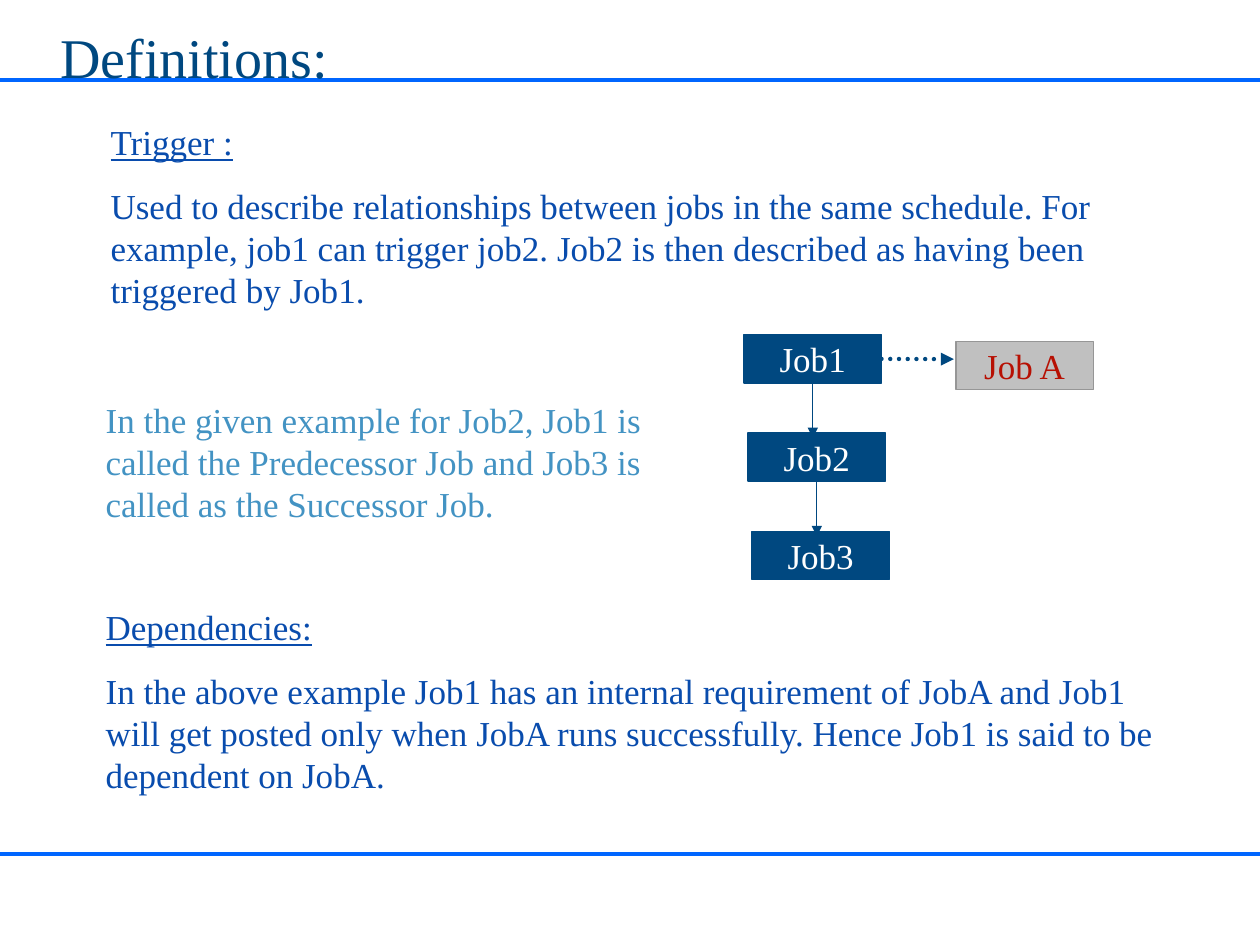
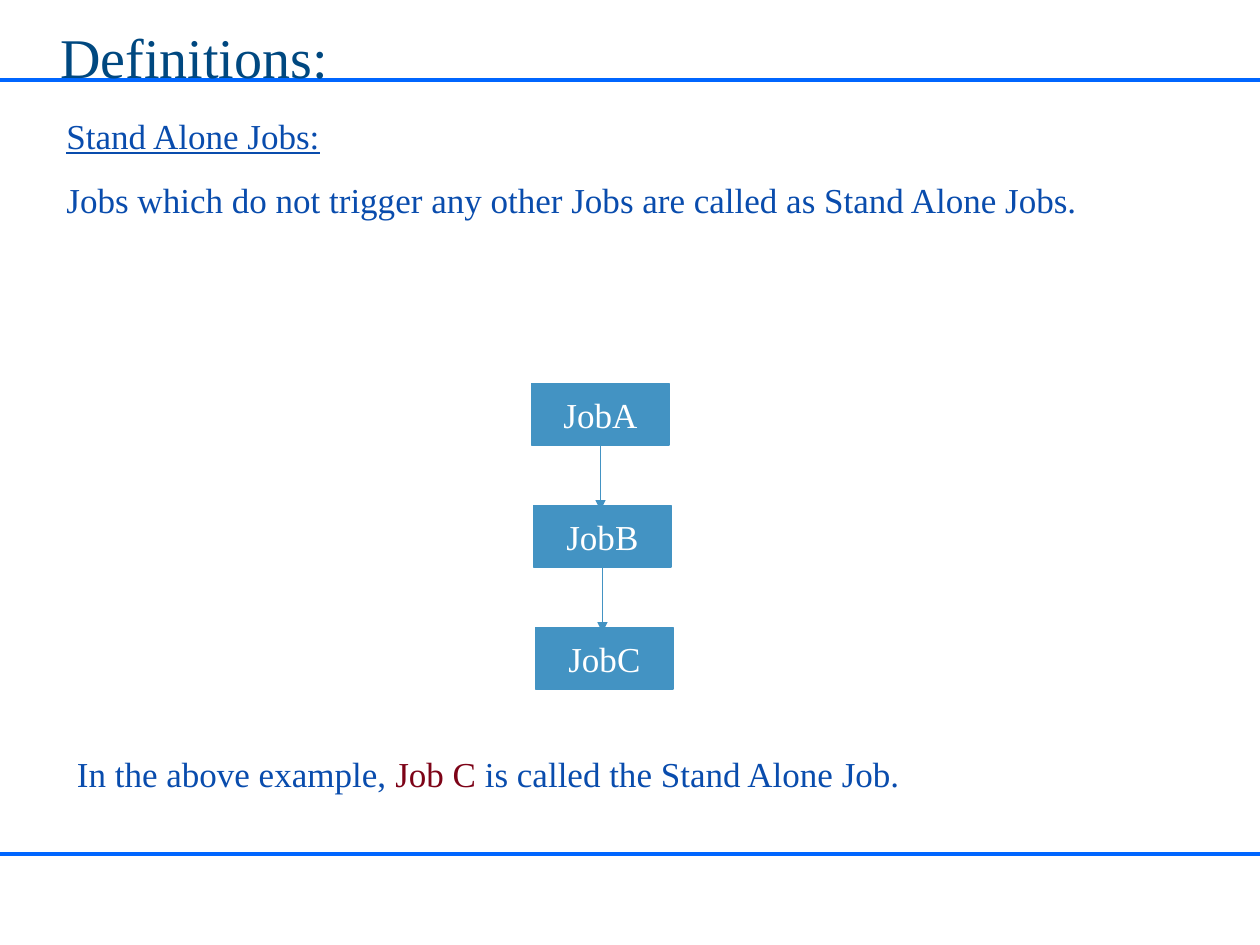
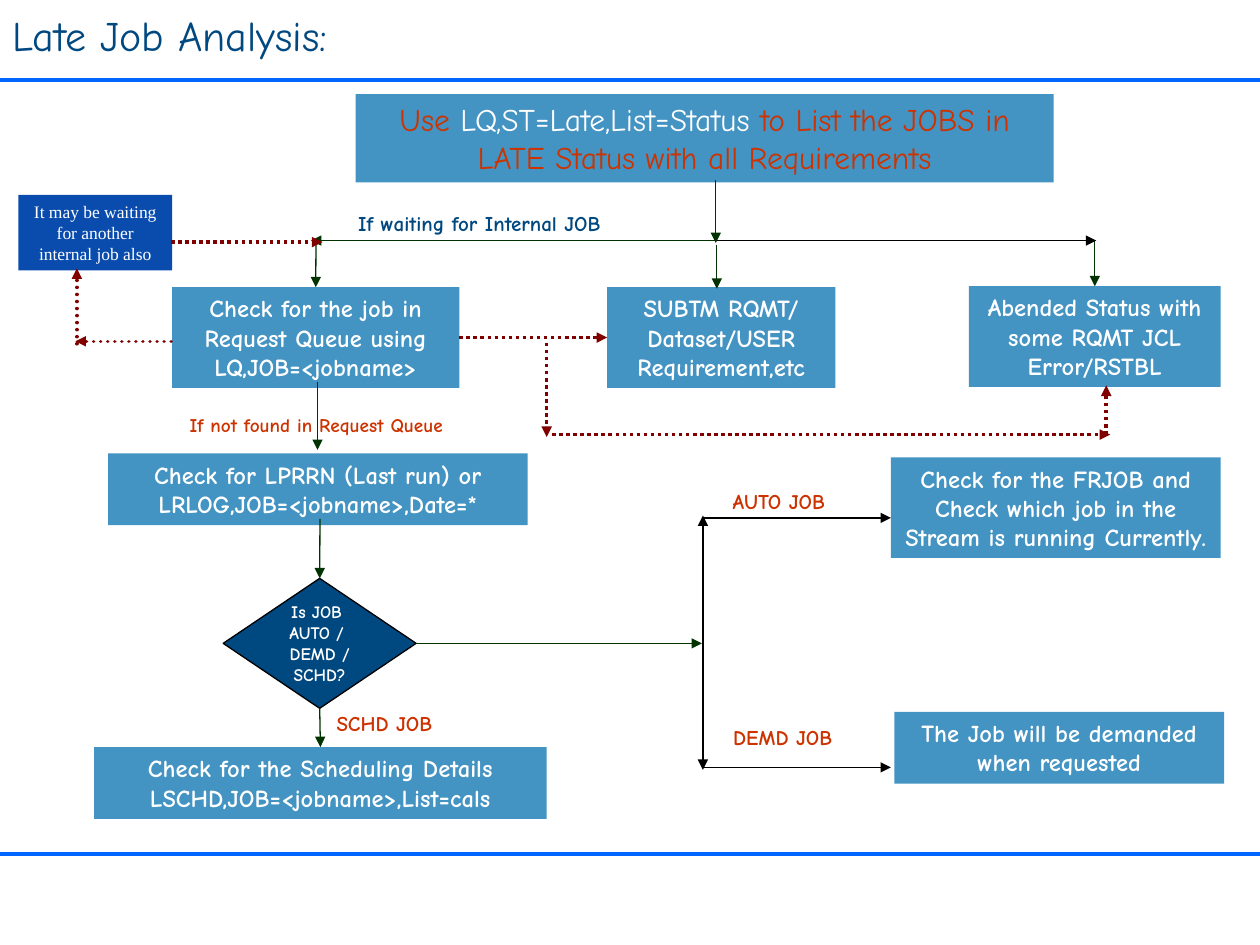
from lxml.etree import SubElement
from pptx import Presentation
from pptx.dml.color import RGBColor
from pptx.enum.shapes import MSO_CONNECTOR as CONNECTOR, MSO_SHAPE as SHAPE
from pptx.enum.text import MSO_ANCHOR as ANCHOR, MSO_AUTO_SIZE as AUTO_SIZE, PP_ALIGN as ALIGN
from pptx.oxml.ns import qn
from pptx.util import Cm, Pt

COLOURS = {
    "band": "0066FF", "navy": "004880", "blue": "094CAD", "sky": "4393C3",
    "grey": "C0C0C0", "grey line": "969696", "white": "FFFFFF", "black": "000000",
    "red": "B71003", "wine": "7D0317", "orange": "CC3300", "green": "003300",
    "maroon": "800000",
}
SERIF, COMIC = "Times New Roman", "Comic Neue"
WIDTH, HEIGHT = 25.4, 19.05
BANDS = (17.22, 1.62)
TOP, LEFT, BOTTOM, RIGHT = range(4)

# Text blocks: place (left, top, width, height in cm), colour, heading, body runs
TRIGGER_BLOCKS = [
    ((1.88, 12.09, 21.89, 4.09), "blue", "Dependencies:",
     "In the above example Job1 has an internal requirement of JobA and Job1 will get "
     "posted only when JobA runs successfully. Hence Job1 is said to be dependent on JobA."),
    ((1.98, 2.31, 22.35, 4.09), "blue", "Trigger :",
     "Used to describe relationships between jobs in the same schedule. For example, job1 "
     "can trigger job2. Job2 is then described as having been triggered by Job1."),
    ((1.88, 7.9, 12.09, 2.79), "sky", None,
     "In the given example for Job2, Job1 is called the Predecessor Job and Job3 is called "
     "as the Successor Job."),
]
STAND_ALONE_BLOCKS = [
    ((1.09, 2.18, 23.19, 2.39), "blue", "Stand Alone Jobs:",
     "Jobs which do not trigger any other Jobs are called as Stand Alone Jobs."),
    ((1.3, 15.04, 23.42, 1.12), "blue", None,
     [("In the above example, ", "blue"), ("Job C", "wine"),
      (" is called the Stand Alone Job.", "blue")]),
]

# Late job flow: name -> place, text
STEPS = {
    "subtm": ((12.24, 5.79, 4.6, 2.03), "SUBTM RQMT/ Dataset/USER Requirement,etc"),
    "abended": ((19.53, 5.77, 5.08, 2.03), "Abended Status with some RQMT JCL Error/RSTBL"),
    "queue": ((3.47, 5.79, 5.79, 2.03),
              "Check for the job in Request Queue using LQ,JOB=<jobname>"),
    "last run": ((2.18, 9.14, 8.46, 1.45),
                 "Check for LPRRN (Last run) or LRLOG,JOB=<jobname>,Date=*"),
    "schedule": ((1.9, 15.06, 9.12, 1.45),
                 "Check for the Scheduling Details LSCHD,JOB=<jobname>,List=cals"),
    "stream": ((17.96, 9.22, 6.65, 2.03),
               "Check for the FRJOB and Check which job in the Stream is running Currently."),
    "demand": ((18.03, 14.35, 6.65, 1.45), "The Job will be demanded when requested"),
}
HEADER = [("Use ", "orange"), ("LQ,ST=Late,List=Status", "white"),
          (" to List the JOBS in LATE Status with all Requirements", "orange")]
DECISION = ["Is JOB ", "AUTO / ", "DEMD /", "SCHD?"]
LABELS = [
    ((6.96, 4.11, 5.41, 0.76), "If waiting for Internal JOB", 12, "navy"),
    ((3.56, 8.2, 5.64, 0.74), "If not found in Request Queue", 11, "orange"),
    ((6.4, 14.2, 2.7, 0.76), "SCHD JOB", 12, "orange"),
    ((14.35, 9.73, 2.7, 0.76), "AUTO JOB", 12, "orange"),
    ((14.43, 14.48, 2.7, 0.76), "DEMD JOB", 12, "orange"),
]
# Arrow ends are points in cm or (step name, side)
ARROWS = {
    "flow": [
        ((14.43, 3.63), (14.43, 4.9)), ((14.48, 4.85), (6.27, 4.85)),
        (("decision", RIGHT), (14.15, 12.97)), ((14.45, 4.93), (14.45, 5.82)),
        ((22.07, 4.85), ("abended", TOP)), ((6.37, 4.85), ("queue", TOP)),
        ((6.4, 7.7), (6.4, 9.07)), ((6.45, 10.46), ("decision", TOP)),
        (("decision", BOTTOM), ("schedule", TOP)),
    ],
    "branch": [
        ((14.45, 4.85), (22.1, 4.85)), ((14.17, 12.98), (14.17, 10.39)),
        ((14.17, 10.44), (17.96, 10.44)), ((14.17, 12.93), (14.17, 15.52)),
        ((14.17, 15.47), (17.96, 15.47)),
    ],
    "other cause": [
        (("queue", RIGHT), ("subtm", LEFT)), ((11.13, 8.76), (22.38, 8.76)),
        ((11.02, 6.91), (11.02, 8.81)), ((22.3, 8.76), (22.3, 7.77)),
        ((3.45, 4.88), (6.5, 4.88)),
    ],
    "waiting": [((3.45, 6.88), (1.52, 6.88)), ((1.55, 6.93), (1.55, 5.41))],
}
# Colour, width in points, dash, cap
ARROW_STYLES = {
    "flow": ("green", 0.75), "branch": ("black", 0.75),
    "other cause": ("maroon", 2, "sysDot"), "waiting": ("maroon", 2, "sysDot", "rnd"),
}


def colour(name):
    return RGBColor.from_string(COLOURS[name])


def write(shape, paragraphs, size, font, ink, align=ALIGN.LEFT, before=0, bold=False,
          wrap=True, grow=True, underline_first=False):
    """Fill a shape with paragraphs, each a string or a list of (text, colour) runs."""
    frame = shape.text_frame
    frame.word_wrap = wrap
    frame.auto_size = AUTO_SIZE.SHAPE_TO_FIT_TEXT if grow else AUTO_SIZE.NONE
    for index, content in enumerate(paragraphs):
        paragraph = frame.add_paragraph() if index else frame.paragraphs[0]
        paragraph.alignment = align
        paragraph.space_before = Pt(before)
        paragraph.font.name = font
        paragraph.font.size = Pt(size)
        paragraph.font.bold = bold
        paragraph.font.underline = underline_first and index == 0
        if isinstance(content, str):
            paragraph.font.color.rgb = colour(ink)
            paragraph.add_run().text = content
        else:
            for text, run_ink in content:
                run = paragraph.add_run()
                run.text = text
                run.font.color.rgb = colour(run_ink)


def add_text(slide, place, paragraphs, size, font, ink, **style):
    box = slide.shapes.add_textbox(*map(Cm, place))
    write(box, paragraphs, size, font, ink, **style)
    return box


def add_box(slide, place, fill, outline=None, kind=SHAPE.RECTANGLE, anchor=ANCHOR.TOP):
    shape = slide.shapes.add_shape(kind, *map(Cm, place))
    shape.shadow.inherit = False
    shape.fill.solid()
    shape.fill.fore_color.rgb = colour(fill)
    if outline:
        shape.line.color.rgb = colour(outline)
        shape.line.width = Pt(0.75)
    else:
        shape.line.fill.background()
    shape.text_frame.vertical_anchor = anchor
    return shape


def add_line(slide, start, end, ink, width, dash=None, cap=None, arrow=True):
    """Draw a line; an end is a point in cm or a (shape, side) pair to join."""
    ends = (start, end)
    points = [(0, 0) if hasattr(first, "shape_id") else (first, second)
              for first, second in ends]
    line = slide.shapes.add_connector(CONNECTOR.STRAIGHT, *map(Cm, points[0] + points[1]))
    for target, connect in zip(ends, (line.begin_connect, line.end_connect)):
        if hasattr(target[0], "shape_id"):
            connect(*target)
    line.line.color.rgb = colour(ink)
    line.line.width = Pt(width)
    outline = line.line._get_or_add_ln()
    if cap:
        outline.set("cap", cap)
    if dash:
        SubElement(outline, qn("a:prstDash"), val=dash)
    if arrow:
        SubElement(outline, qn("a:tailEnd"), type="triangle")
    SubElement(line._element.spPr, qn("a:effectLst"))


def add_slide(presentation):
    slide = presentation.slides.add_slide(presentation.slide_layouts[6])
    for y in BANDS:
        add_line(slide, (0, y), (WIDTH, y), "band", 2.25, arrow=False)
    return slide


def add_definitions(presentation, blocks):
    slide = add_slide(presentation)
    add_text(slide, (0.72, 0.33, 6.4, 1.63), ["Definitions:"], 32, SERIF, "navy",
             align=ALIGN.CENTER, before=20)
    for place, ink, heading, body in blocks:
        paragraphs = [heading, body] if heading else [body]
        add_text(slide, place, paragraphs, 20, SERIF, ink, before=12.5,
                 underline_first=bool(heading))
    return slide


def add_job(slide, name, place, fill, outline, ink="white"):
    job = add_box(slide, place, fill, outline, anchor=ANCHOR.MIDDLE)
    write(job, [name], 20, SERIF, ink, align=ALIGN.CENTER, wrap=False, grow=False)
    return job


def add_job_chain(slide, names, left, top, height, step, fill):
    """Stack jobs, each shifted by step, with an arrow down to the next one."""
    width, overlap = 2.77, 0.1
    jobs = []
    for index, name in enumerate(names):
        x, y = left + index * step[0], top + index * step[1]
        jobs.append(add_job(slide, name, (x, y, width, height), fill, fill))
        if index < len(names) - 1:
            tip = (x + width / 2, y + step[1] + overlap)
            add_line(slide, (jobs[-1], BOTTOM), tip, fill, 0.75)
    return jobs


def add_late_job_analysis(presentation):
    slide = add_slide(presentation)
    title = add_text(slide, (0, 0.15, 7.8, 1.27), ["Late Job Analysis:"], 24, COMIC, "navy",
                     grow=False)
    title.text_frame.paragraphs[0].line_spacing = 0.95

    header = add_box(slide, (7.17, 1.9, 14.07, 1.78), "sky")
    write(header, [HEADER], 18, COMIC, "white", align=ALIGN.CENTER, before=11.2)
    shapes = {}
    for name, (place, text) in STEPS.items():
        shapes[name] = add_box(slide, place, "sky")
        write(shapes[name], [text], 14, COMIC, "white", align=ALIGN.CENTER, before=8.8,
              bold=True)
    waiting = add_box(slide, (0.37, 3.93, 3.1, 1.52), "blue")
    write(waiting, ["It may be waiting for another internal job also"], 10, SERIF, "white",
          align=ALIGN.CENTER, before=6.2)
    shapes["decision"] = add_box(slide, (4.5, 11.66, 3.89, 2.62), "navy", "black",
                                 SHAPE.DIAMOND, ANCHOR.MIDDLE)
    write(shapes["decision"], DECISION, 10, COMIC, "white", align=ALIGN.CENTER, bold=True,
          wrap=False, grow=False)

    for place, text, size, ink in LABELS:
        add_text(slide, place, [text], size, COMIC, ink, align=ALIGN.CENTER, bold=True,
                 wrap=False)
    for style, arrows in ARROWS.items():
        for ends in arrows:
            start, end = [(shapes.get(first, first), second) for first, second in ends]
            add_line(slide, start, end, *ARROW_STYLES[style])


def main():
    presentation = Presentation()
    presentation.slide_width, presentation.slide_height = Cm(WIDTH), Cm(HEIGHT)

    slide = add_definitions(presentation, TRIGGER_BLOCKS)
    jobs = add_job_chain(slide, ["Job1", "Job2", "Job3"], 15.0, 6.75, 0.97, (0.08, 1.98),
                         "navy")
    add_line(slide, (jobs[0], RIGHT), (19.23, 7.24), "navy", 2.5, "sysDot", "rnd")
    add_job(slide, "Job A", (19.27, 6.88, 2.77, 0.97), "grey", "grey line", "red")

    slide = add_definitions(presentation, STAND_ALONE_BLOCKS)
    add_job_chain(slide, ["JobA", "JobB", "JobC"], 10.72, 7.73, 1.24, (0.04, 2.46), "sky")

    add_late_job_analysis(presentation)
    presentation.save("out.pptx")


if __name__ == "__main__":
    main()
